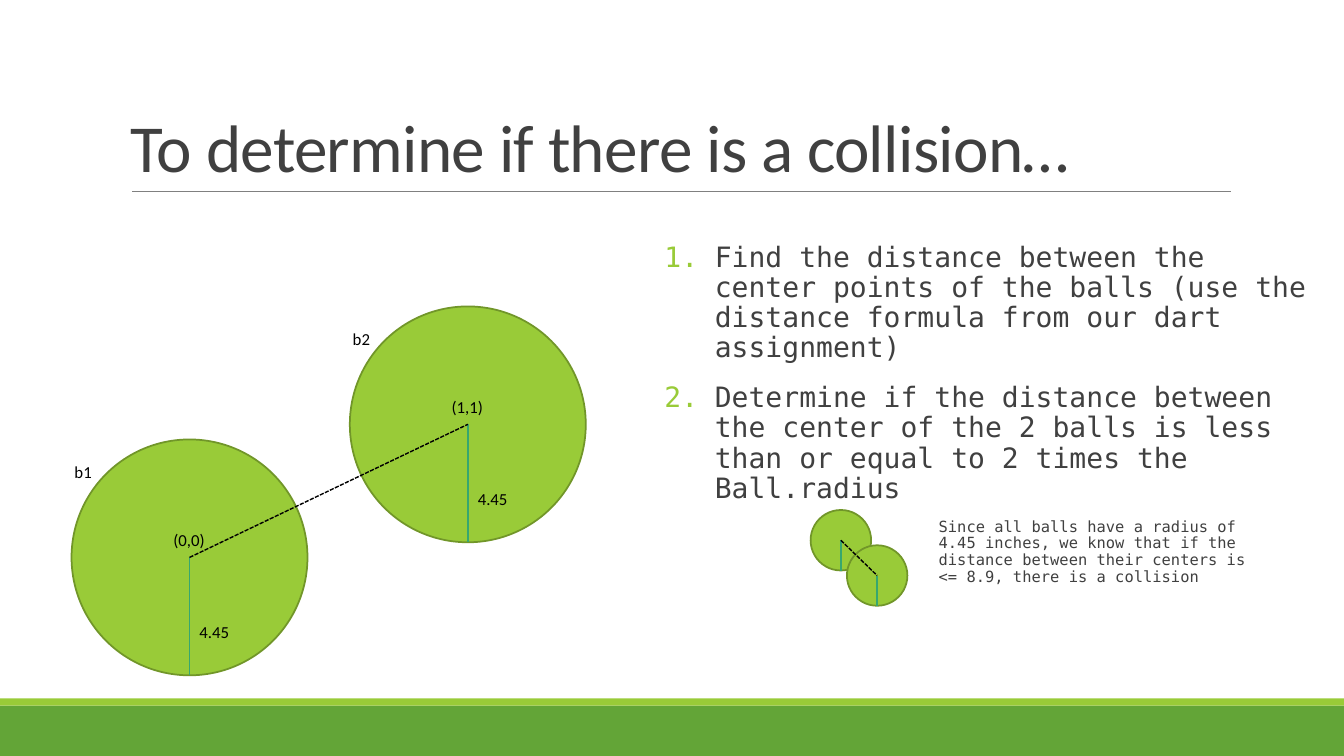
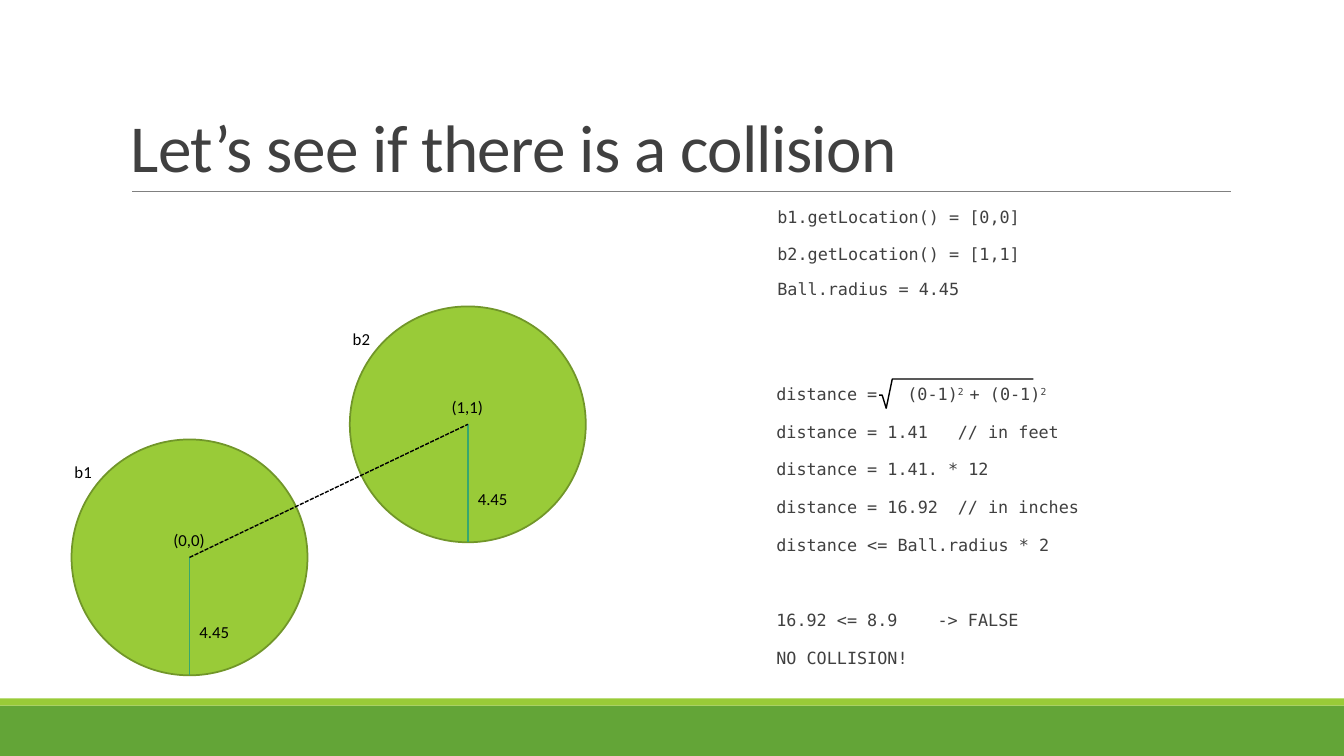
"""Build two slides that explain collision detection between two balls."""
import pptx
import pptx.dml.color
import pptx.enum.dml
import pptx.enum.shapes
import pptx.enum.text
import pptx.oxml.ns
import pptx.util
from lxml import etree

WIDTH, HEIGHT = 13.33, 7.5
COLORS = {"band": "63A537", "lime": "99CB38", "rim": "719629", "radius": "37A76F",
          "rule": "808080", "text": "404040", "black": "000000"}
SANS, MONO = "Calibri", "DejaVu Sans Mono"
CHAR = 0.1

TITLES = ["To determine if there is a collision…", "Let’s see if there is a collision"]
BIG_RADIUS, SMALL_RADIUS = 1.17, 0.3
BALLS = [("b1", "(0,0)", (1.88, 5.53)), ("b2", "(1,1)", (4.64, 4.21))]
SMALL_CENTERS = [(8.34, 5.36), (8.7, 5.71)]
STEPS = [
    "Find the distance between the center points of the balls "
    "(use the distance formula from our dart assignment)",
    "Determine if the distance between the center of the 2 balls is "
    "less than or equal to 2 times the Ball.radius",
]
NOTE = ("Since all balls have a radius of 4.45 inches, we know that if the distance "
        "between their centers is <= 8.9, there is a collision")
LOCATIONS = ["b1.getLocation() = [0,0]", "b2.getLocation() = [1,1]"]
RADIUS = ["Ball.radius = 4.45"]
WORKING = [
    [("distance =\t(0-1)", False), ("2 ", True), ("+ (0-1)", False), ("2", True)],
    "distance = 1.41\t// in feet",
    "distance = 1.41. * 12",
    "distance = 16.92\t// in inches",
    "distance <= Ball.radius * 2",
    "16.92 <= 8.9\t-> FALSE",
    "NO COLLISION!",
]
TAB_COLUMNS = {0: 13, 1: 18, 3: 18, 5: 16}
GAP_BEFORE = {5: 39}
RADICAL = [(8.72, 3.92), (8.75, 3.92), (8.79, 4.05), (8.85, 3.76), (10.25, 3.76)]


def inches(*values):
    return [pptx.util.Inches(v) for v in values]


def rgb(name):
    return pptx.dml.color.RGBColor.from_string(COLORS[name])


def add_xml(parent, tag, **attrs):
    return etree.SubElement(parent, pptx.oxml.ns.qn(tag), **attrs)


def add_shape(s, kind, box, fill, line=None):
    sp = s.shapes.add_shape(kind, *inches(*box))
    sp.shadow.inherit = False
    sp.fill.solid()
    sp.fill.fore_color.rgb = rgb(fill)
    if line:
        sp.line.color.rgb = rgb(line)
        sp.line.width = pptx.util.Pt(1.25)
    else:
        sp.line.fill.background()


def add_line(s, start, end, color, width=1, dashed=False):
    cx = s.shapes.add_connector(pptx.enum.shapes.MSO_CONNECTOR.STRAIGHT, *inches(*start, *end))
    cx.line.color.rgb = rgb(color)
    cx.line.width = pptx.util.Pt(width)
    if dashed:
        cx.line.dash_style = pptx.enum.dml.MSO_LINE.SQUARE_DOT
    add_xml(cx._element.spPr, "a:effectLst")


def add_run(p, text, size, font, color, raised=False):
    r = p.add_run()
    r.text = text
    r.font.size = pptx.util.Pt(size)
    r.font.name = font
    r.font.color.rgb = rgb(color)
    if raised:
        r._r.get_or_add_rPr().set("baseline", "30000")
    return r


def add_label(s, text, left, top):
    tf = s.shapes.add_textbox(*inches(left, top, 0.71, 0.3)).text_frame
    tf.word_wrap = True
    add_run(tf.paragraphs[0], text, 12, SANS, "black")


def add_body(s, box, paragraphs, size, numbered=False, tabs={}, gaps={}):
    tf = s.shapes.add_textbox(*inches(*box)).text_frame
    tf.word_wrap = True
    tf.margin_left = tf.margin_right = 0
    for i, content in enumerate(paragraphs):
        p = tf.add_paragraph() if i else tf.paragraphs[0]
        p.line_spacing = 0.9
        p.space_before = pptx.util.Pt(gaps.get(i, 12))
        p.space_after = pptx.util.Pt(2)
        pPr = p._p.get_or_add_pPr()
        if numbered:
            indent = pptx.util.Inches(0.5)
            pPr.set("marL", str(indent))
            pPr.set("indent", str(-indent))
            add_xml(add_xml(pPr, "a:buClr"), "a:srgbClr", val=COLORS["lime"])
            add_xml(pPr, "a:buAutoNum", type="arabicPeriod")
        if i in tabs:
            stop = pptx.util.Inches(tabs[i] * CHAR)
            add_xml(add_xml(pPr, "a:tabLst"), "a:tab", pos=str(stop), algn="l")
        runs = [(content, False)] if isinstance(content, str) else content
        for text, raised in runs:
            add_run(p, text, size, MONO, "text", raised)


def add_circle(s, center, radius):
    x, y = center
    add_shape(s, pptx.enum.shapes.MSO_SHAPE.OVAL,
              (x - radius, y - radius, 2 * radius, 2 * radius), "lime", "rim")


def add_radius(s, center, radius):
    x, y = center
    add_line(s, center, (x, y + radius), "radius")


def add_balls(s):
    for name, point, (x, y) in BALLS:
        add_circle(s, (x, y), BIG_RADIUS)
        add_radius(s, (x, y), BIG_RADIUS)
        for text, dx, dy in [("4.45", 0, 0.59), (name, -1.24, -1), (point, -0.26, -0.32)]:
            add_label(s, text, x + dx, y + dy)
    add_line(s, BALLS[0][2], BALLS[1][2], "black", dashed=True)


def add_slide(prs, title):
    s = prs.slides.add_slide(prs.slide_layouts[6])
    rect = pptx.enum.shapes.MSO_SHAPE.RECTANGLE
    add_shape(s, rect, (0, 7, WIDTH, 0.5), "band")
    add_shape(s, rect, (0, 6.93, WIDTH, 0.07), "lime")
    add_line(s, (1.31, 1.9), (12.21, 1.9), "rule", 0.5)
    tf = s.shapes.add_textbox(*inches(1.2, 0.31, 11, 1.59)).text_frame
    tf.word_wrap = True
    tf.vertical_anchor = pptx.enum.text.MSO_ANCHOR.BOTTOM
    p = tf.paragraphs[0]
    p.line_spacing = 0.85
    r = add_run(p, title, 48, SANS, "text")
    r._r.get_or_add_rPr().set("spc", "-50")
    add_balls(s)
    return s


def add_overlap(s):
    for center in SMALL_CENTERS:
        add_circle(s, center, SMALL_RADIUS)
    for center in SMALL_CENTERS:
        add_radius(s, center, SMALL_RADIUS)
    add_line(s, *SMALL_CENTERS, "black", dashed=True)


def add_radical(s):
    points = [inches(*point) for point in RADICAL]
    builder = s.shapes.build_freeform(*points[0])
    builder.add_line_segments(points[1:], close=False)
    sp = builder.convert_to_shape()
    sp.shadow.inherit = False
    sp.fill.background()
    sp.line.color.rgb = rgb("black")
    sp.line.width = pptx.util.Pt(1)


def main():
    prs = pptx.Presentation()
    prs.slide_width, prs.slide_height = inches(WIDTH, HEIGHT)
    rules, example = [add_slide(prs, title) for title in TITLES]

    add_body(rules, (6.59, 2.36, 6.43, 2.17), STEPS, 20, numbered=True)
    add_overlap(rules)
    add_body(rules, (9.31, 5.1, 3.08, 2.17), [NOTE], 11)

    add_body(example, (7.71, 2.02, 4.28, 1.01), LOCATIONS, 12)
    add_body(example, (7.71, 2.74, 4.28, 1.01), RADIUS, 12)
    add_body(example, (7.7, 3.78, 5.47, 2.77), WORKING, 12, tabs=TAB_COLUMNS, gaps=GAP_BEFORE)
    add_radical(example)
    prs.save("out.pptx")


if __name__ == "__main__":
    main()
